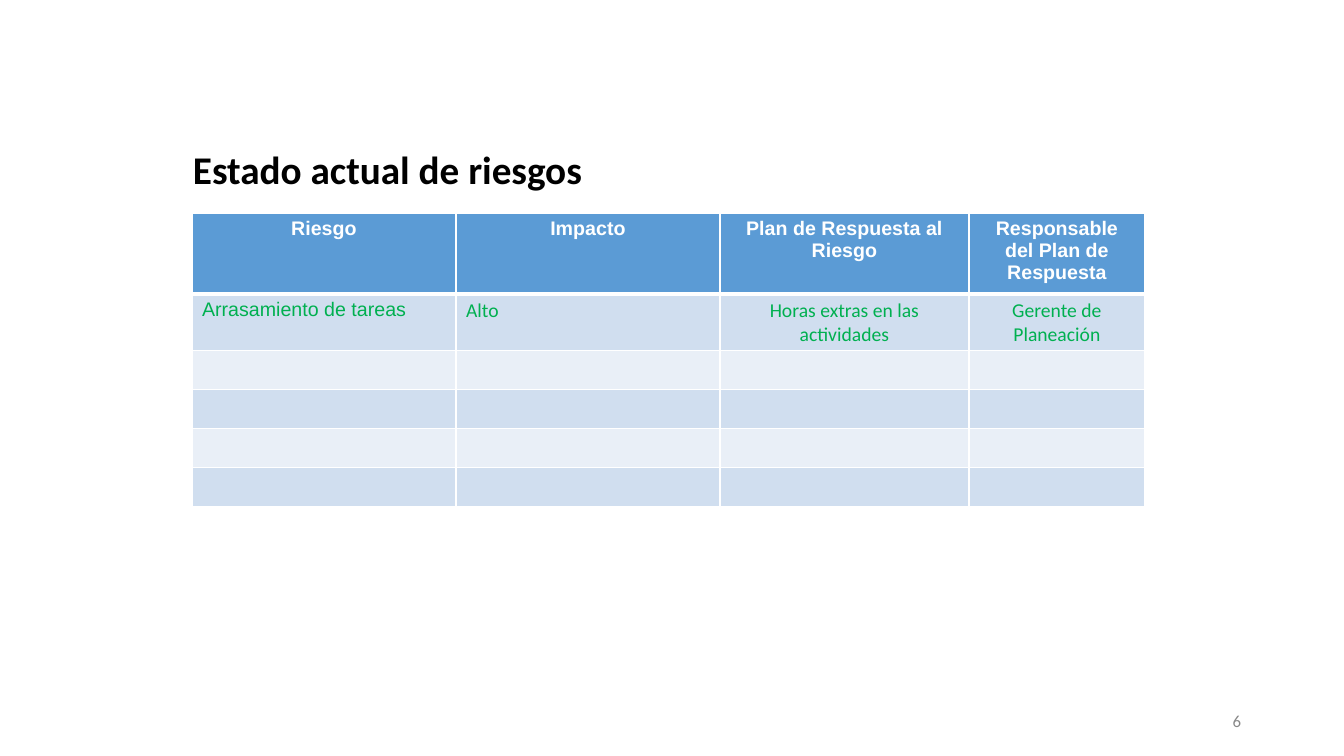
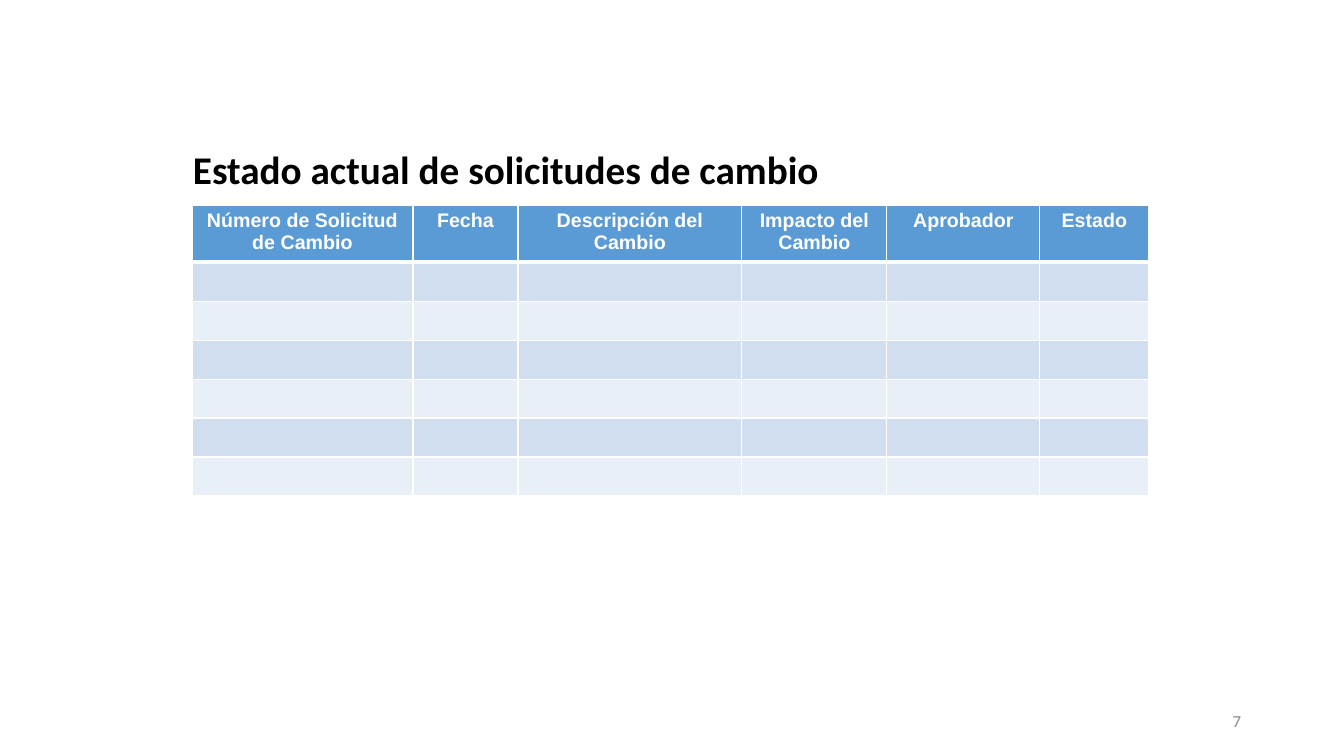
import pptx
import pptx.util
import pptx.dml.color
import pptx.enum.text
import pptx.oxml
import pptx.oxml.ns

SCALE = 914400 / 100.8
ALIGN = pptx.enum.text.PP_ALIGN
HEAD = dict(name="Arial", size=14, bold=True, color="FFFFFF")
BODY = dict(name="Calibri", size=14, bold=False, color="00B050")
TITLE = dict(name="Calibri", size=28, bold=True, color="000000")
PAGE = dict(name="Calibri", size=12, bold=False, color="888888")
BLUE, BANDS, WHITE = "5B9BD5", ("D0DEEF", "E9EFF7"), "FFFFFF"


def px(count):
    return pptx.util.Emu(round(count * SCALE))


def tint(code):
    return pptx.dml.color.RGBColor.from_string(code)


class Deck:
    def __init__(self):
        self.show = pptx.Presentation()
        self.show.slide_width = px(1344)
        self.show.slide_height = px(756)
        self.slide = None

    def page(self, title, number):
        self.slide = self.show.slides.add_slide(self.show.slide_layouts[6])
        self.label((183, 149, 857, 39), title, TITLE, ALIGN.LEFT)
        self.label((949, 701, 302, 40), str(number), PAGE, ALIGN.RIGHT)

    def text(self, frame, words, style, align):
        line = frame.paragraphs[0]
        line.alignment = align
        run = line.add_run()
        run.text = words
        for key, value in style.items():
            if key == "color":
                run.font.color.rgb = tint(value)
            else:
                setattr(run.font, key, pptx.util.Pt(value) if key == "size" else value)

    def label(self, box, words, style, align):
        frame = self.slide.shapes.add_textbox(*map(px, box)).text_frame
        frame.word_wrap = True
        frame.vertical_anchor = pptx.enum.text.MSO_ANCHOR.MIDDLE
        self.text(frame, words, style, align)

    def edge(self, cell, row):
        props = cell._tc.get_or_add_tcPr()
        wide = {"T": 3 if row == 1 else 1, "B": 3 if row == 0 else 1}
        for spot, side in enumerate("LRTB"):
            width = pptx.util.Pt(wide.get(side, 1))
            props.insert(spot, pptx.oxml.parse_xml(
                f'<a:ln{side} {pptx.oxml.ns.nsdecls("a")} w="{width}"><a:solidFill>'
                f'<a:srgbClr val="{WHITE}"/></a:solidFill></a:ln{side}>'))

    def table(self, top, widths, heads, count, items=()):
        rows = count + 1
        grid = self.slide.shapes.add_table(
            rows, len(widths), px(192), px(top), px(sum(widths)), px(39 * rows)).table
        grid.horz_banding = False
        for col, width in zip(grid.columns, widths):
            col.width = px(width)
        for row in range(rows):
            grid.rows[row].height = px(39)
            for col in range(len(widths)):
                cell = grid.cell(row, col)
                cell.fill.solid()
                cell.fill.fore_color.rgb = tint(BANDS[(row - 1) % 2] if row else BLUE)
                self.edge(cell, row)
                if row == 0:
                    self.text(cell.text_frame, heads[col], HEAD, ALIGN.CENTER)
                elif row <= len(items):
                    words, align, style = items[row - 1][col]
                    self.text(cell.text_frame, words, style, align)
                else:
                    cell.margin_top = cell.margin_bottom = 0


deck = Deck()
deck.page("Estado actual de riesgos", 6)
deck.table(
    213, (264, 264, 249, 176),
    ("Riesgo", "Impacto", "Plan de Respuesta al Riesgo",
     "Responsable del Plan de Respuesta"), 5,
    [[("Arrasamiento de tareas", ALIGN.LEFT, {**BODY, "name": "Arial"}),
      ("Alto", ALIGN.LEFT, BODY),
      ("Horas extras en las actividades", ALIGN.CENTER, BODY),
      ("Gerente de Planeación", ALIGN.CENTER, BODY)]])

deck.page("Estado actual de solicitudes de cambio", 7)
deck.table(
    205, (221, 105, 224, 145, 153, 109),
    ("Número de Solicitud de Cambio", "Fecha", "Descripción del Cambio",
     "Impacto del Cambio", "Aprobador", "Estado"), 6)

deck.show.save("out.pptx")
